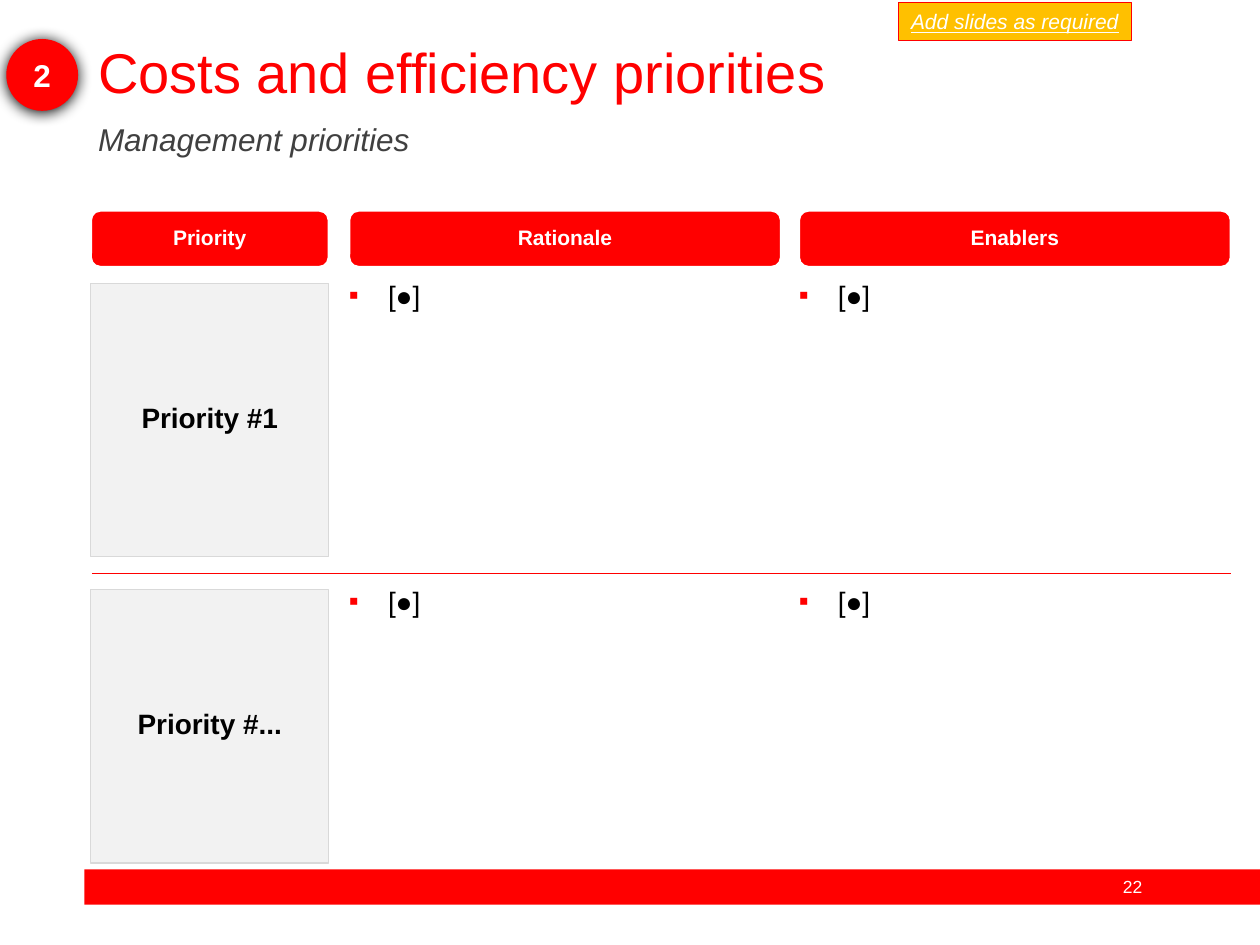
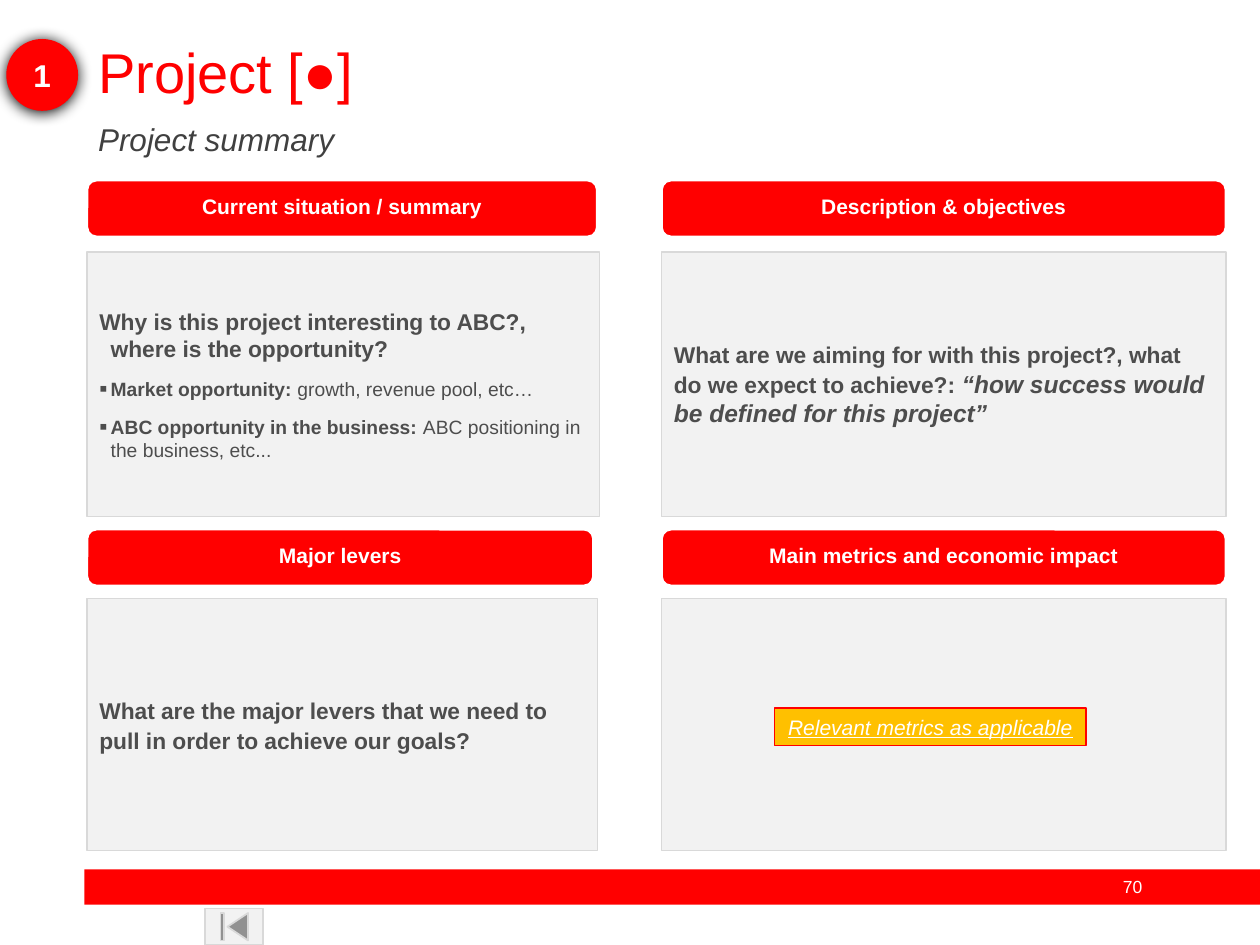
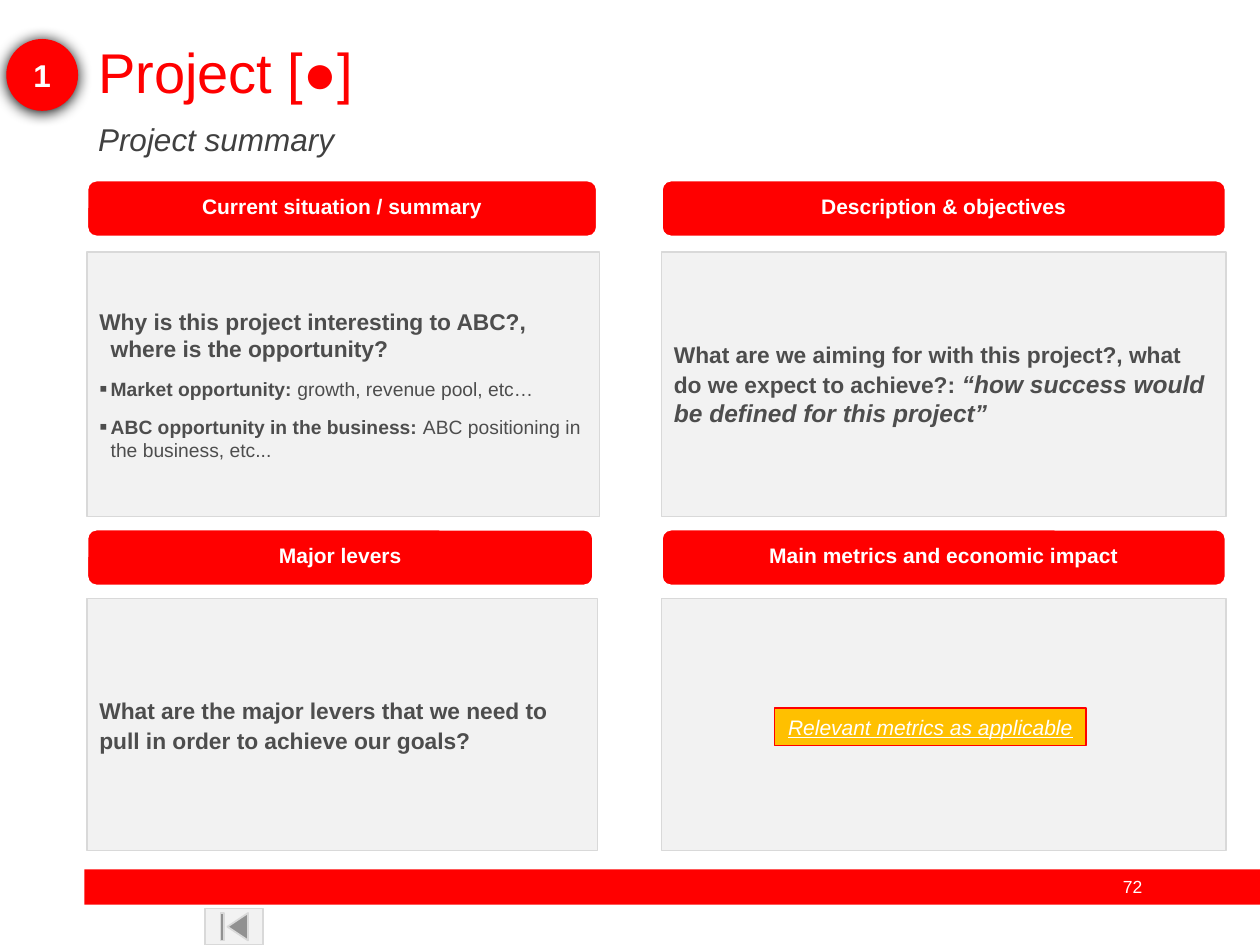
from dataclasses import dataclass
from typing import NamedTuple

from pptx import Presentation
from pptx.dml.color import RGBColor
from pptx.enum import shapes, text
from pptx.oxml.ns import qn
from pptx.oxml.xmlchemy import OxmlElement
from pptx.util import Inches, Pt

FONT = "Arial"
RED, AMBER, WHITE, BLACK = "FF0000", "FFC000", "FFFFFF", "000000"
PANEL, BORDER, BODY, SUBTITLE = "F2F2F2", "D9D9D9", "4D4D4D", "404040"

SHAPE = shapes.MSO_SHAPE
CENTER, LEFT = text.PP_ALIGN.CENTER, text.PP_ALIGN.LEFT
MIDDLE, TOP = text.MSO_ANCHOR.MIDDLE, text.MSO_ANCHOR.TOP
NO_INSET, INSET = (0, 0), (0.1, 0.05)


class Box(NamedTuple):
    left: float
    top: float
    width: float
    height: float


class Run(NamedTuple):
    text: str
    size: float
    color: str = BODY
    bold: bool = False
    italic: bool = False
    underline: bool = False


@dataclass
class Para:
    runs: list[Run]
    align: text.PP_ALIGN = LEFT
    spacing: float = 1.0
    before: float = 0
    hang: float = 0
    bullet_color: str = ""
    bullet_size: int = 100


def rgb(color: str) -> RGBColor:
    return RGBColor.from_string(color)


def add_child(parent, tag: str, **attrs):
    child = OxmlElement(tag)
    for name, value in attrs.items():
        child.set(name, str(value))
    parent.append(child)
    return child


def add_bullet(p, color: str, size: int) -> None:
    pPr = p._p.get_or_add_pPr()
    add_child(add_child(pPr, "a:buClr"), "a:srgbClr", val=color)
    add_child(pPr, "a:buSzPct", val=size * 1000)
    add_child(pPr, "a:buFont", typeface=FONT)
    add_child(pPr, "a:buChar", char="▪")


def write(sp, paras: list[Para], anchor=MIDDLE, inset=NO_INSET, wrap=True) -> None:
    tf = sp.text_frame
    tf.word_wrap = wrap
    tf.vertical_anchor = anchor
    tf.margin_left = tf.margin_right = Inches(inset[0])
    tf.margin_top = tf.margin_bottom = Inches(inset[1])
    for i, para in enumerate(paras):
        p = tf.add_paragraph() if i else tf.paragraphs[0]
        p.alignment = para.align
        p.line_spacing = para.spacing
        if para.before:
            p.space_before = Pt(para.before)
        if para.hang:
            pPr = p._p.get_or_add_pPr()
            pPr.set("marL", str(Inches(para.hang)))
            pPr.set("indent", str(-Inches(para.hang)))
        if para.bullet_color:
            add_bullet(p, para.bullet_color, para.bullet_size)
        for run in para.runs:
            r = p.add_run()
            r.text = run.text
            r.font.name, r.font.size = FONT, Pt(run.size)
            r.font.color.rgb = rgb(run.color)
            r.font.bold, r.font.italic = run.bold, run.italic
            r.font.underline = run.underline


def add_shape(s, kind, box: Box, fill: str, line: str = "", weight: float = 0.75):
    sp = s.shapes.add_shape(kind, *map(Inches, box))
    sp.shadow.inherit = False
    sp.fill.solid()
    sp.fill.fore_color.rgb = rgb(fill)
    if line:
        sp.line.color.rgb = rgb(line)
        sp.line.width = Pt(weight)
    else:
        sp.line.fill.background()
    return sp


def add_text(s, box: Box, para: Para, inset=INSET) -> None:
    write(s.shapes.add_textbox(*map(Inches, box)), [para], TOP, inset)


def add_header(s, box: Box, label: str) -> None:
    sp = add_shape(s, SHAPE.ROUNDED_RECTANGLE, box, RED, WHITE, 1.5)
    write(sp, [Para([Run(label, 12, WHITE, bold=True)], CENTER, 0.85)])


def add_panel(s, box: Box, paras: list[Para], inset=INSET) -> None:
    sp = add_shape(s, SHAPE.RECTANGLE, box, PANEL, BORDER)
    if paras:
        write(sp, paras, inset=inset)


def add_callout(s, box: Box, label: str) -> None:
    sp = add_shape(s, SHAPE.RECTANGLE, box, AMBER, RED)
    run = Run(label, 12, WHITE, italic=True, underline=True)
    write(sp, [Para([run], CENTER)], inset=INSET, wrap=False)


def add_badge(s, number: str) -> None:
    """Numbered circle with a soft shadow, left of the title."""
    sp = add_shape(s, SHAPE.OVAL, Box(0.05, 0.31, 0.57, 0.57), RED)
    effects = sp._element.spPr.find(qn("a:effectLst"))
    shadow = add_child(effects, "a:outerShdw", blurRad=Pt(8.5), dist=Pt(1),
                       dir=90 * 60000, algn="ctr", rotWithShape=0)
    add_child(shadow, "a:srgbClr", val=BLACK)
    write(sp, [Para([Run(number, 18, WHITE, bold=True)], CENTER)])


def new_slide(prs, number: str, title: str, subtitle: str, page: str):
    s = prs.slides.add_slide(prs.slide_layouts[6])
    add_shape(s, SHAPE.RECTANGLE, Box(0.67, 6.9, 9.33, 0.28), RED)
    add_text(s, Box(8.71, 6.9, 0.56, 0.27), Para([Run(page, 10, WHITE)], CENTER))
    add_text(s, Box(0.68, 0.31, 8.62, 0.57), Para([Run(title, 32, RED)], spacing=0.9))
    add_text(s, Box(0.68, 0.94, 8.63, 0.41),
             Para([Run(subtitle, 18, SUBTITLE, italic=True)], spacing=0.9))
    add_badge(s, number)
    return s


def priorities_slide(prs) -> None:
    s = new_slide(prs, "2", "Costs and efficiency priorities",
                  "Management priorities", "22")
    columns = [("Priority", 0.72, 1.89), ("Rationale", 2.77, 3.43),
               ("Enablers", 6.34, 3.43)]
    for label, left, width in columns:
        add_header(s, Box(left, 1.67, width, 0.45), label)

    for top, priority in [(2.25, "Priority #1"), (4.68, "Priority #...")]:
        (_, left, width), *details = columns
        name = Run(priority, 16, BLACK, bold=True)
        add_panel(s, Box(left, top, width, 2.17), [Para([name], CENTER, 0.85)], NO_INSET)
        for _, left, width in details:
            add_text(s, Box(left, top, width, 2.17),
                     Para([Run("[●]", 16, BLACK)], spacing=0.85, hang=0.31,
                          bullet_color=RED), NO_INSET)

    divider = s.shapes.add_connector(shapes.MSO_CONNECTOR.STRAIGHT, Inches(0.73),
                                     Inches(4.55), Inches(9.77), Inches(4.55))
    divider.line.color.rgb = rgb(RED)
    divider.line.width = Pt(0.75)
    add_child(divider._element.spPr, "a:effectLst")
    add_callout(s, Box(7.13, 0.02, 1.85, 0.3), "Add slides as required")


def topic(label: str, detail: str) -> Para:
    return Para([Run(label, 11, bold=True), Run(detail, 11)], before=8.5, hang=0.09,
                bullet_color=BODY, bullet_size=120)


def project_slide(prs, page: str) -> None:
    s = new_slide(prs, "1", "Project [●]", "Project summary", page)
    situation = [
        Para([Run("Why is this project interesting to ABC?, where is the opportunity?",
                  13, bold=True)], hang=0.09),
        topic("Market opportunity: ", "growth, revenue pool, etc…"),
        topic("ABC opportunity in the business: ",
              "ABC positioning in the business, etc..."),
    ]
    objectives = [Para([
        Run("What are we aiming for with this project?, what do we expect to achieve?:",
            13, bold=True),
        Run(" ", 14),
        Run("“how success would be defined for this project”", 14, bold=True, italic=True),
    ])]
    levers = [Para([Run("What are the major levers that we need to pull in order to "
                        "achieve our goals?", 13, bold=True)], spacing=1.1)]

    left, right, right_width = 0.69, 5.25, 4.48
    upper, lower = (1.43, 2, 2.1), (4.2, 4.75, 2)
    quadrants = [
        ("Current situation / summary", left, 4.05, 4.07, upper, situation),
        ("Description & objectives", right, right_width, right_width, upper, objectives),
        ("Major levers", left, 4.02, 4.05, lower, levers),
        ("Main metrics and economic impact", right, right_width, right_width, lower, []),
    ]
    for label, x, header_width, panel_width, (header_top, top, height), paras in quadrants:
        add_panel(s, Box(x, top, panel_width, height), paras)
        add_header(s, Box(x, header_top, header_width, 0.45), label)
    add_callout(s, Box(6.15, 5.62, 2.47, 0.3), "Relevant metrics as applicable")
    add_shape(s, SHAPE.ACTION_BUTTON_BEGINNING, Box(1.63, 7.21, 0.46, 0.29),
              PANEL, BORDER, 1)


def main() -> None:
    prs = Presentation()
    prs.slide_width, prs.slide_height = Inches(10), Inches(7.5)
    priorities_slide(prs)
    for page in ("70", "72"):
        project_slide(prs, page)
    prs.save("out.pptx")


if __name__ == "__main__":
    main()
